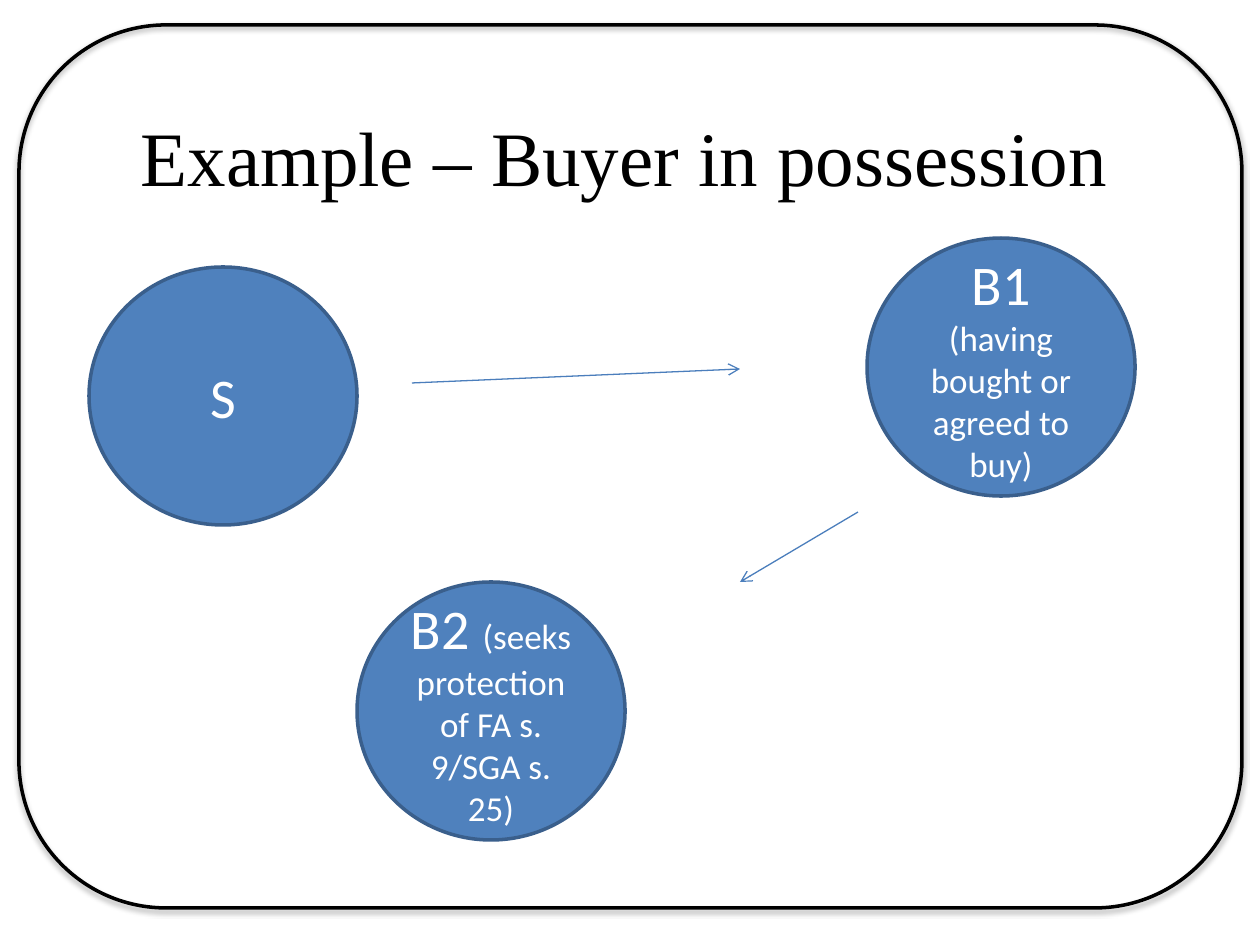
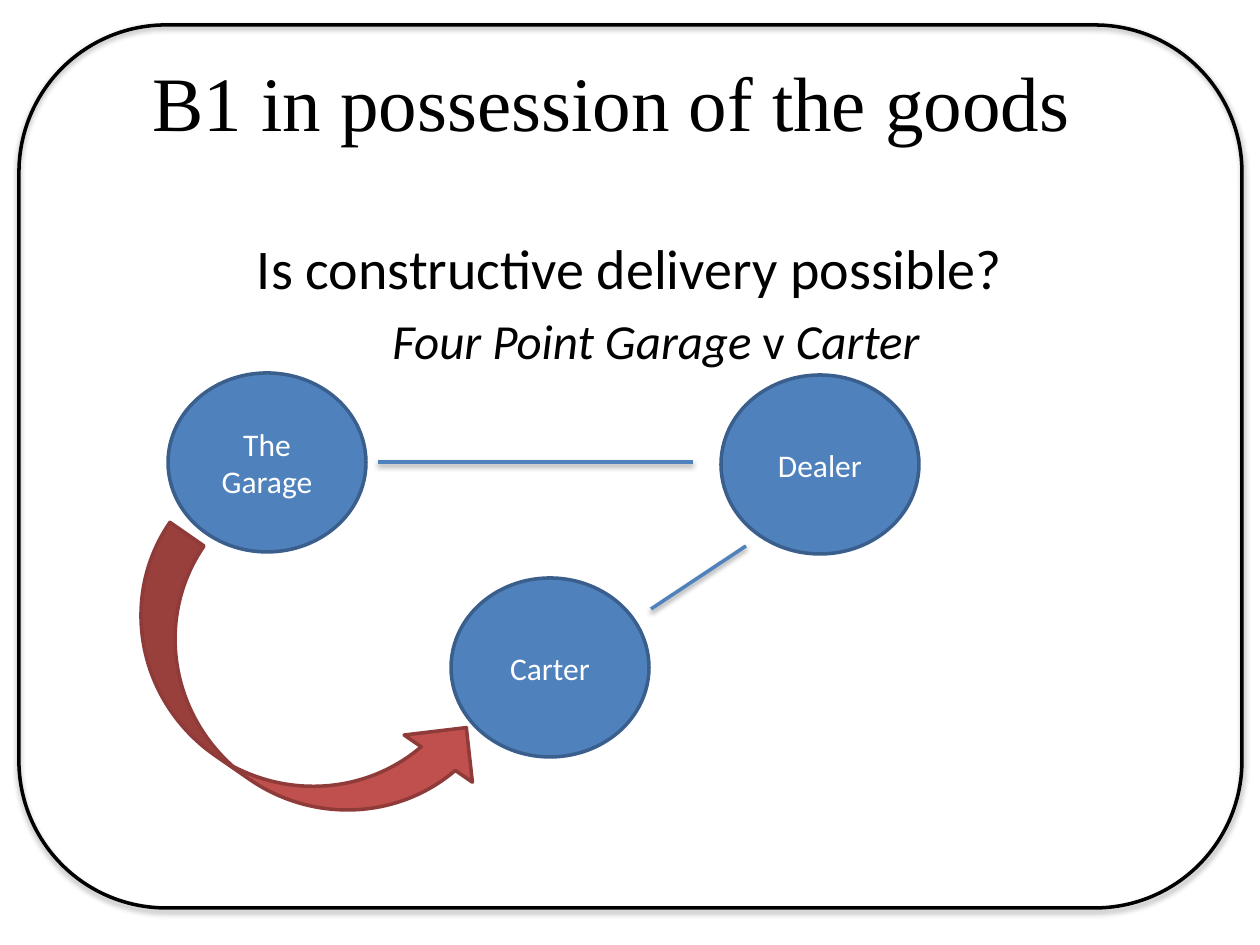
from lxml.etree import SubElement
from pptx import Presentation
from pptx.dml.color import RGBColor
from pptx.enum.shapes import MSO_CONNECTOR, MSO_SHAPE
from pptx.enum.text import MSO_ANCHOR, PP_ALIGN
from pptx.oxml.ns import qn
from pptx.util import Emu, Pt

PX_PER_INCH = 126
BLACK, WHITE = "000000", "FFFFFF"
BLUE, BLUE_EDGE, THIN_BLUE = "4F81BD", "3A5F8C", "4B7EBC"
RED, RED_EDGE = "C0504D", "8E3B39"
TITLE_FONT, BODY_FONT = "Times New Roman", "Calibri"


def px(length):
    return Emu(round(length * 914400 / PX_PER_INCH))


def color(hex_string):
    return RGBColor.from_string(hex_string)


def add_span(para, text, size, ink=BLACK, font=BODY_FONT, italic=False):
    span = para.add_run()
    span.text = text
    span.font.size = Pt(size)
    span.font.name = font
    span.font.italic = italic
    span.font.color.rgb = color(ink)


def set_effects(shape, shadow_opacity=0):
    """Replace the theme effects by a soft shadow below, or by none."""
    properties = shape._element.spPr
    for old in properties.findall(qn("a:effectLst")):
        properties.remove(old)
    effects = SubElement(properties, qn("a:effectLst"))
    if shadow_opacity:
        shadow = SubElement(effects, qn("a:outerShdw"), blurRad=str(Pt(3.1)),
                            dist=str(Pt(1.8)), dir="5400000", rotWithShape="0")
        ink = SubElement(shadow, qn("a:srgbClr"), val=BLACK)
        SubElement(ink, qn("a:alpha"), val=str(shadow_opacity * 1000))


def add_preset(page, preset, left, top, width, height, fill, edge, shadow_opacity=0):
    shape = page.shapes.add_shape(preset, px(left), px(top), px(width), px(height))
    if fill:
        shape.fill.solid()
        shape.fill.fore_color.rgb = color(fill)
    else:
        shape.fill.background()
    shape.line.color.rgb = color(edge)
    shape.line.width = Pt(2)
    set_effects(shape, shadow_opacity)
    return shape


def add_party(page, left, top, size, *spans):
    """Draw a circle for one party; each span is a (text, point size) pair."""
    circle = add_preset(page, MSO_SHAPE.OVAL, left, top, *size, BLUE, BLUE_EDGE)
    frame = circle.text_frame
    frame.word_wrap = True
    frame.vertical_anchor = MSO_ANCHOR.MIDDLE
    para = frame.paragraphs[0]
    para.alignment = PP_ALIGN.CENTER
    for text, points in spans:
        add_span(para, text, points, WHITE)


def add_link(page, start, end, ink, width, arrow=False, shadow_opacity=0):
    ends = [px(value) for value in (*start, *end)]
    link = page.shapes.add_connector(MSO_CONNECTOR.STRAIGHT, *ends)
    link.line.color.rgb = color(ink)
    link.line.width = Pt(width)
    if arrow:
        SubElement(link.line._get_or_add_ln(), qn("a:tailEnd"), type="arrow")
    set_effects(link, shadow_opacity)


def add_page(deck, title_text, title_left, title_top):
    """Add a slide with the shared rounded frame and title style."""
    page = deck.slides.add_slide(deck.slide_layouts[5])
    add_preset(page, MSO_SHAPE.ROUNDED_RECTANGLE, 19, 25, 1223, 883, None, BLACK, 35)
    title = page.shapes.title
    title.left, title.top = px(title_left), px(title_top)
    title.width, title.height = px(1071), px(203)
    title.text_frame.vertical_anchor = MSO_ANCHOR.MIDDLE
    para = title.text_frame.paragraphs[0]
    para.alignment = PP_ALIGN.CENTER
    add_span(para, title_text, 44, font=TITLE_FONT)
    return page


def add_question(page):
    box = page.shapes.add_textbox(px(189), px(227), px(882), px(242))
    frame = box.text_frame
    frame.word_wrap = True
    question = frame.paragraphs[0]
    add_span(question, "Is constructive delivery possible?", 32)
    case = frame.add_paragraph()
    case._p.get_or_add_pPr().set("marL", str(px(63)))
    case.space_before = Pt(6)
    for text, italic in (("Four Point Garage ", True), ("v", False), (" Carter ", True)):
        add_span(case, text, 28, italic=italic)
    for para in frame.paragraphs:
        para.alignment = PP_ALIGN.CENTER


def build_example(deck):
    page = add_page(deck, "Example – Buyer in possession", 89, 54)
    size = (268, 258)
    add_party(page, 89, 267, size, ("S", 32))
    add_party(page, 867, 238, size, ("B1 ", 32), ("(having bought or agreed to buy)", 20))
    add_party(page, 357, 582, size, ("B2 ", 32),
              ("(seeks protection of FA s. 9/SGA s. 25)", 20))
    for start, end in (((412, 383), (740, 369)), ((858, 512), (740, 582))):
        add_link(page, start, end, THIN_BLUE, 0.75, arrow=True)


def build_case(deck):
    page = add_page(deck, "B1 in possession of the goods", 76, -1)
    add_question(page)
    size = (198, 179)
    for name, left, top in (("The Garage", 168, 373), ("Carter", 451, 578),
                            ("Dealer", 721, 375)):
        add_party(page, left, top, size, (name, 18))
    delivery = add_preset(page, MSO_SHAPE.CURVED_RIGHT_ARROW, 205, 504, 166, 402,
                          RED, RED_EDGE)
    delivery.rotation = 304.7
    for start, end in (((378, 462), (693, 462)), ((746, 546), (651, 609))):
        add_link(page, start, end, BLUE, 2, shadow_opacity=38)


def main():
    deck = Presentation()
    deck.slide_width, deck.slide_height = px(1260), px(945)
    build_example(deck)
    build_case(deck)
    deck.save("out.pptx")


if __name__ == "__main__":
    main()
